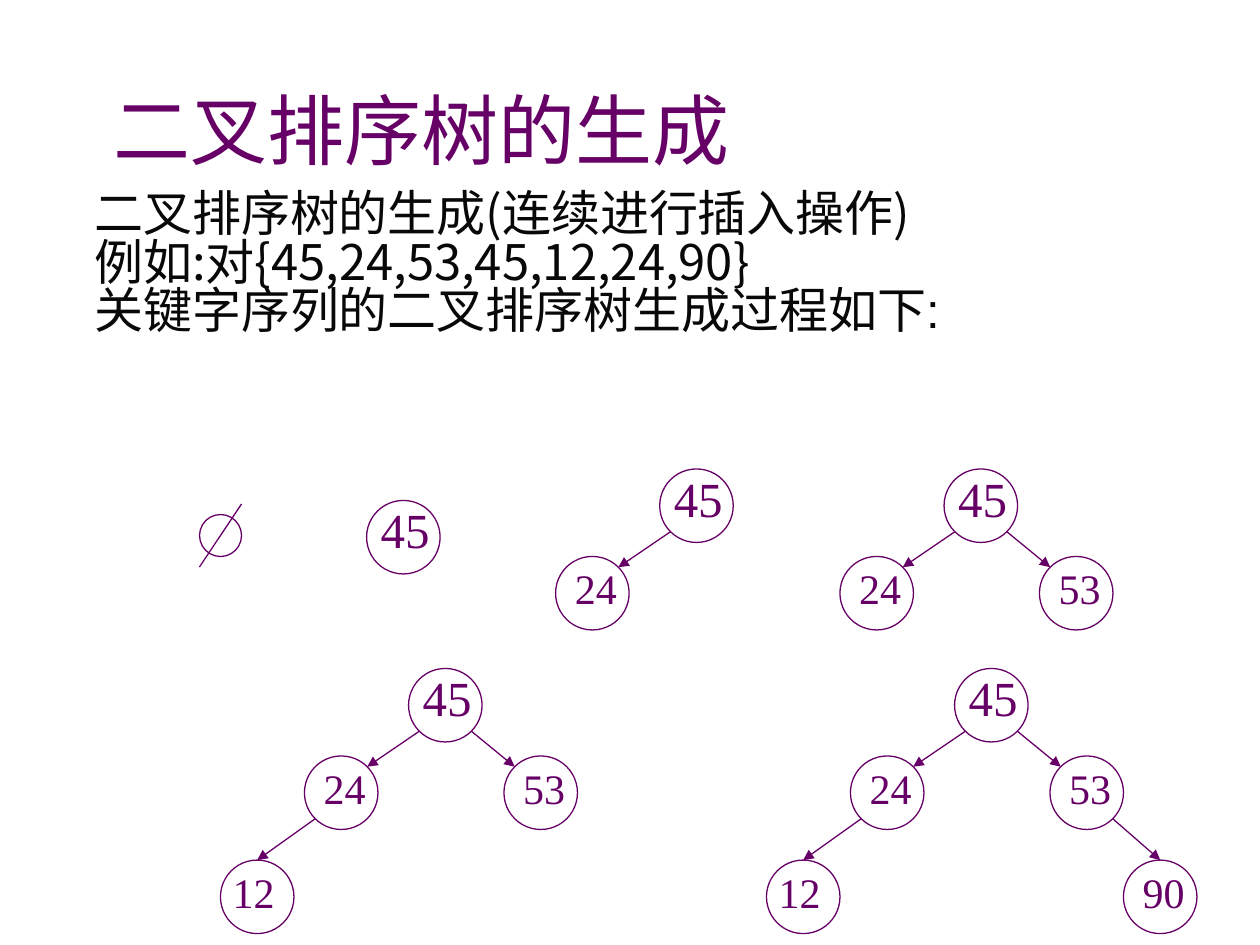
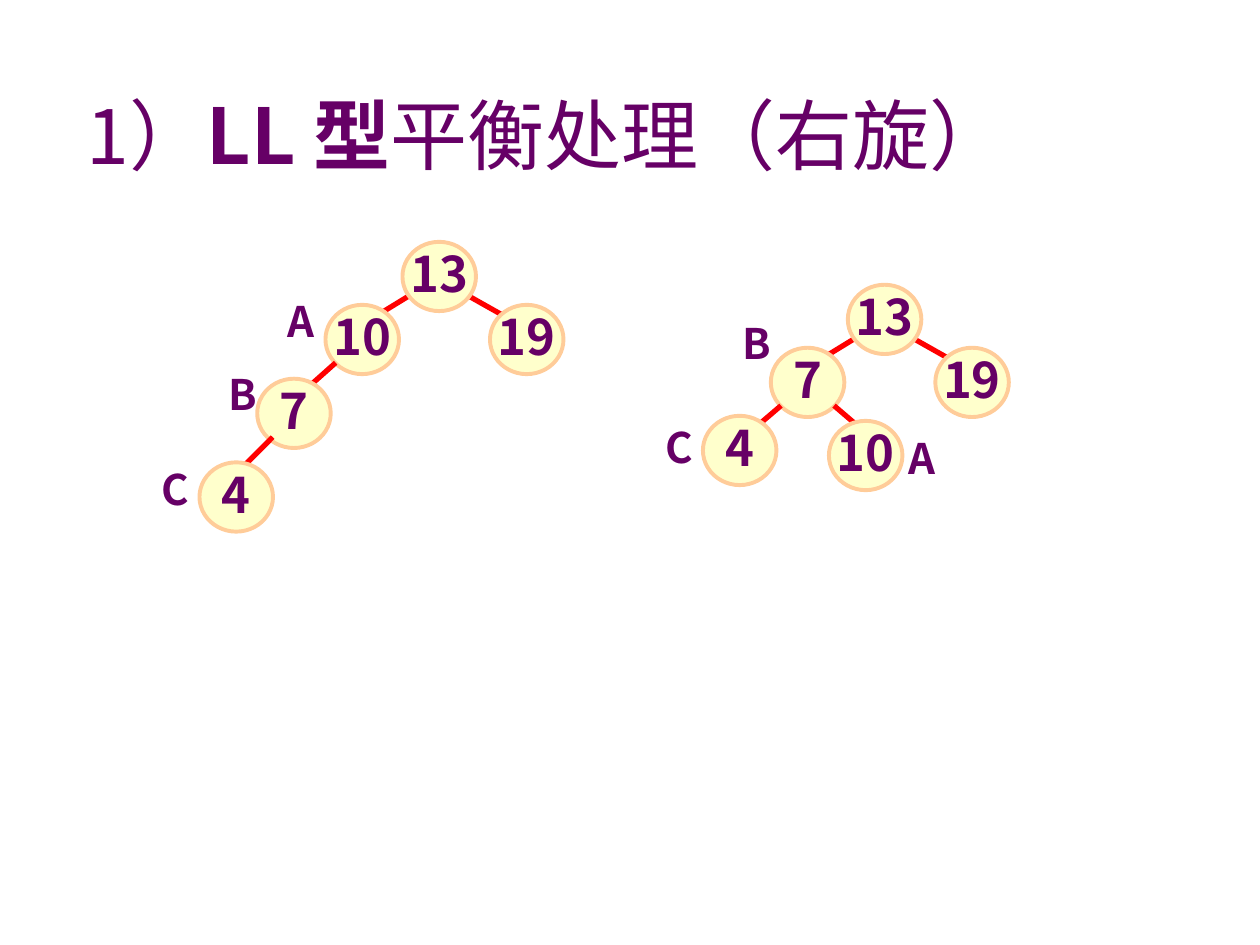
from dataclasses import dataclass
from math import sqrt
from typing import Optional

import lxml.etree
import pptx
import pptx.dml.color
import pptx.enum.shapes
import pptx.enum.text
import pptx.oxml.ns
import pptx.util

Pt = pptx.util.Pt
qn = pptx.oxml.ns.qn
ALIGN = pptx.enum.text.PP_ALIGN
ANCHOR = pptx.enum.text.MSO_ANCHOR
OVAL = pptx.enum.shapes.MSO_SHAPE.OVAL
STRAIGHT = pptx.enum.shapes.MSO_CONNECTOR.STRAIGHT

COLORS = {"purple": "660066", "ink": "080808", "cream": "FFFFCC",
          "peach": "FFCC99", "red": "FF0000"}
CJK = "Noto Sans CJK SC"
SERIF = "Times New Roman"
DIAMETER = 42
NODE_W, NODE_H = 42, 39.6


@dataclass(frozen=True)
class SearchNode:
    key: str
    dx: float = 0
    dy: float = 0
    parent: Optional[str] = None
    side: int = 0
    top_entry: bool = False
    size: float = 24
    nudge: float = 4


@dataclass(frozen=True)
class Label:
    text: str
    dx: float
    dy: float


@dataclass(frozen=True)
class AvlNode:
    key: str
    dx: float = 0
    dy: float = 0
    edge: Optional[tuple[float, float, float, float]] = None
    label: Optional[Label] = None


SEARCH_NODES = {n.key: n for n in (
    SearchNode("45", size=28, nudge=2),
    SearchNode("24", -59.5, 50, "45", -1),
    SearchNode("53", 54.5, 50, "45", 1),
    SearchNode("12", -107.5, 109.5, "24", -1, True, nudge=-4),
    SearchNode("90", 96.5, 109.5, "53", 1, True),
)}

SEARCH_TREES = [
    (209.5, 286, ["45"]),
    (377, 268, ["45", "24"]),
    (539.5, 268, ["45", "24", "53"]),
    (233.5, 382, ["45", "24", "53", "12"]),
    (545.5, 382, ["45", "24", "53", "12", "90"]),
]


def add_text(p, text: str, *, size: float, font: str = CJK,
             color: str = "purple", bold: bool = False) -> None:
    r = p.add_run()
    r.text = text
    r.font.size = Pt(size)
    r.font.bold = bold
    r.font.color.rgb = pptx.dml.color.RGBColor.from_string(COLORS[color])
    r.font.name = font
    lxml.etree.SubElement(r.font._element, qn("a:ea"), typeface=CJK)


def add_line(shapes, ends: tuple, *, color: str, width: float,
             arrow: bool = False):
    c = shapes.add_connector(STRAIGHT, *(Pt(v) for v in ends))
    c.line.color.rgb = pptx.dml.color.RGBColor.from_string(COLORS[color])
    c.line.width = Pt(width)
    if arrow:
        lxml.etree.SubElement(c.line._get_or_add_ln(), qn("a:tailEnd"), type="triangle")
    lxml.etree.SubElement(c._element.spPr, qn("a:effectLst"))
    return c


def add_oval(shapes, x: float, y: float, w: float, h: float, *,
             color: str, width: float, fill: Optional[str] = None):
    sp = shapes.add_shape(OVAL, Pt(x), Pt(y), Pt(w), Pt(h))
    sp.shadow.inherit = False
    if fill:
        sp.fill.solid()
        sp.fill.fore_color.rgb = pptx.dml.color.RGBColor.from_string(COLORS[fill])
    else:
        sp.fill.background()
    sp.line.color.rgb = pptx.dml.color.RGBColor.from_string(COLORS[color])
    sp.line.width = Pt(width)
    return sp


def set_key(sp, key: str, *, lift: float, nudge: float = 0, **fmt) -> None:
    tf = sp.text_frame
    tf.word_wrap = False
    tf.vertical_anchor = ANCHOR.MIDDLE
    tf.margin_left, tf.margin_right = Pt(max(nudge, 0)), Pt(max(-nudge, 0))
    tf.margin_top, tf.margin_bottom = 0, Pt(2 * lift)
    p = tf.paragraphs[0]
    p.alignment = ALIGN.CENTER
    add_text(p, key, **fmt)


def add_titled_slide(prs, box: tuple, runs: list[tuple[str, str, bool]]):
    slide = prs.slides.add_slide(prs.slide_layouts[5])
    sp = slide.shapes.title
    sp.left, sp.top, sp.width, sp.height = (Pt(v) for v in box)
    tf = sp.text_frame
    tf.auto_size = pptx.enum.text.MSO_AUTO_SIZE.NONE
    tf.word_wrap = True
    tf.vertical_anchor = ANCHOR.MIDDLE
    p = tf.paragraphs[0]
    p.alignment = ALIGN.LEFT
    for text, font, bold in runs:
        add_text(p, text, size=44, font=font, bold=bold)
    return slide


def add_body(slide, paragraphs: list[list[tuple[str, str]]]) -> None:
    tf = slide.shapes.add_textbox(Pt(46.8), Pt(108.7), Pt(630), Pt(103)).text_frame
    tf.word_wrap = True
    for i, runs in enumerate(paragraphs):
        p = tf.add_paragraph() if i else tf.paragraphs[0]
        p.line_spacing = 0.75
        if i:
            p.space_before = Pt(2.5)
        pPr = p._p.get_or_add_pPr()
        pPr.set("marL", str(Pt(27)))
        pPr.set("indent", str(Pt(-27)))
        for text, font in runs:
            add_text(p, text, size=28, font=font, color="ink")


def add_search_tree(slide, x: float, y: float, keys: list[str]) -> None:
    shapes = slide.shapes.add_group_shape().shapes
    r = DIAMETER / 2
    diag = r / sqrt(2)
    ovals = {}
    for key in keys:
        n = SEARCH_NODES[key]
        sp = add_oval(shapes, x + n.dx, y + n.dy, DIAMETER, DIAMETER,
                      color="purple", width=0.75)
        set_key(sp, key, lift=4.5 if n.size > 24 else 3, nudge=n.nudge,
                size=n.size, font=SERIF)
        ovals[key] = sp
        if n.parent:
            up = SEARCH_NODES[n.parent]
            start = (x + up.dx + r + n.side * diag, y + up.dy + r + diag)
            end = (x + n.dx + r - n.side * diag, y + n.dy + r - diag)
            c = add_line(shapes, start + end, color="purple", width=0.75, arrow=True)
            if n.top_entry:
                c.end_connect(ovals[key], 0)


def add_empty_tree(slide) -> None:
    shapes = slide.shapes.add_group_shape().shapes
    add_oval(shapes, 114, 294, 24, 24, color="purple", width=0.75)
    add_line(shapes, (138, 288, 114, 324), color="purple", width=0.75)


def tree_top(left: str, label: Label) -> list[AvlNode]:
    return [
        AvlNode("19", 50, 36, (31.5, 27.4, 62, 44.6)),
        AvlNode(left, -44, 36, (-18.7, 44.6, 9.4, 27.4), label),
        AvlNode("13"),
    ]


def add_avl_tree(slide, x: float, y: float, nodes: list[AvlNode]) -> None:
    shapes = slide.shapes.add_group_shape().shapes
    for n in nodes:
        if n.edge:
            x1, y1, x2, y2 = n.edge
            add_line(shapes, (x + x1, y + y1, x + x2, y + y2), color="red", width=3)
        sp = add_oval(shapes, x + n.dx, y + n.dy, NODE_W, NODE_H,
                      color="peach", width=2.25, fill="cream")
        set_key(sp, n.key, lift=2, size=28, bold=True)
    for n in nodes:
        if n.label:
            tb = shapes.add_textbox(Pt(x + n.dx + n.label.dx), Pt(y + n.dy + n.label.dy),
                                    Pt(66), Pt(36))
            tb.text_frame.word_wrap = True
            p = tb.text_frame.paragraphs[0]
            p.alignment = ALIGN.CENTER
            add_text(p, n.label.text, size=24, bold=True)


def build_generation(prs) -> None:
    slide = add_titled_slide(prs, (57.6, 41, 612, 64.8),
                             [("二叉排序树的生成", "Roboto Condensed", False)])
    add_body(slide, [
        [("二叉排序树的生成", "Arial"), ("(连续进行插入操作)", CJK)],
        [("例如:对{45,24,53,45,12,24,90}", CJK)],
        [("关键字序列的", CJK), ("二叉排序树", "Arial"), ("生成", CJK),
         ("过程如下:", "Arial")],
    ])
    add_empty_tree(slide)
    for x, y, keys in SEARCH_TREES:
        add_search_tree(slide, x, y, keys)


def build_rotation(prs) -> None:
    slide = add_titled_slide(prs, (42.5, 46, 605.5, 60.5), [
        ("1）", CJK, False), ("LL 型", CJK, True), ("平衡处理（右旋）", CJK, False)])
    add_avl_tree(slide, 230, 138.2, tree_top("10", Label("A", -46.8, -8.6)) + [
        AvlNode("7", -83, 78.2, (-38.2, 69.1, -57.6, 86.4), Label("B", -41, -9.4)),
        AvlNode("4", -116, 126, (-74.2, 111.6, -90.7, 128.2), Label("C", -46.8, -2.9)),
    ])
    add_avl_tree(slide, 484.5, 162.7, tree_top("7", Label("B", -41, -20.9)) + [
        AvlNode("4", -82.8, 74.9, (-38.2, 69.1, -57.6, 85.7), Label("C", -46.8, 0)),
        AvlNode("10", -10.8, 77.8, (-7.9, 69.1, 11.5, 85.7), Label("A", 20.2, 2.9)),
    ])


def main() -> None:
    prs = pptx.Presentation()
    prs.slide_width, prs.slide_height = Pt(720), Pt(540)
    build_generation(prs)
    build_rotation(prs)
    prs.save("out.pptx")


if __name__ == "__main__":
    main()
